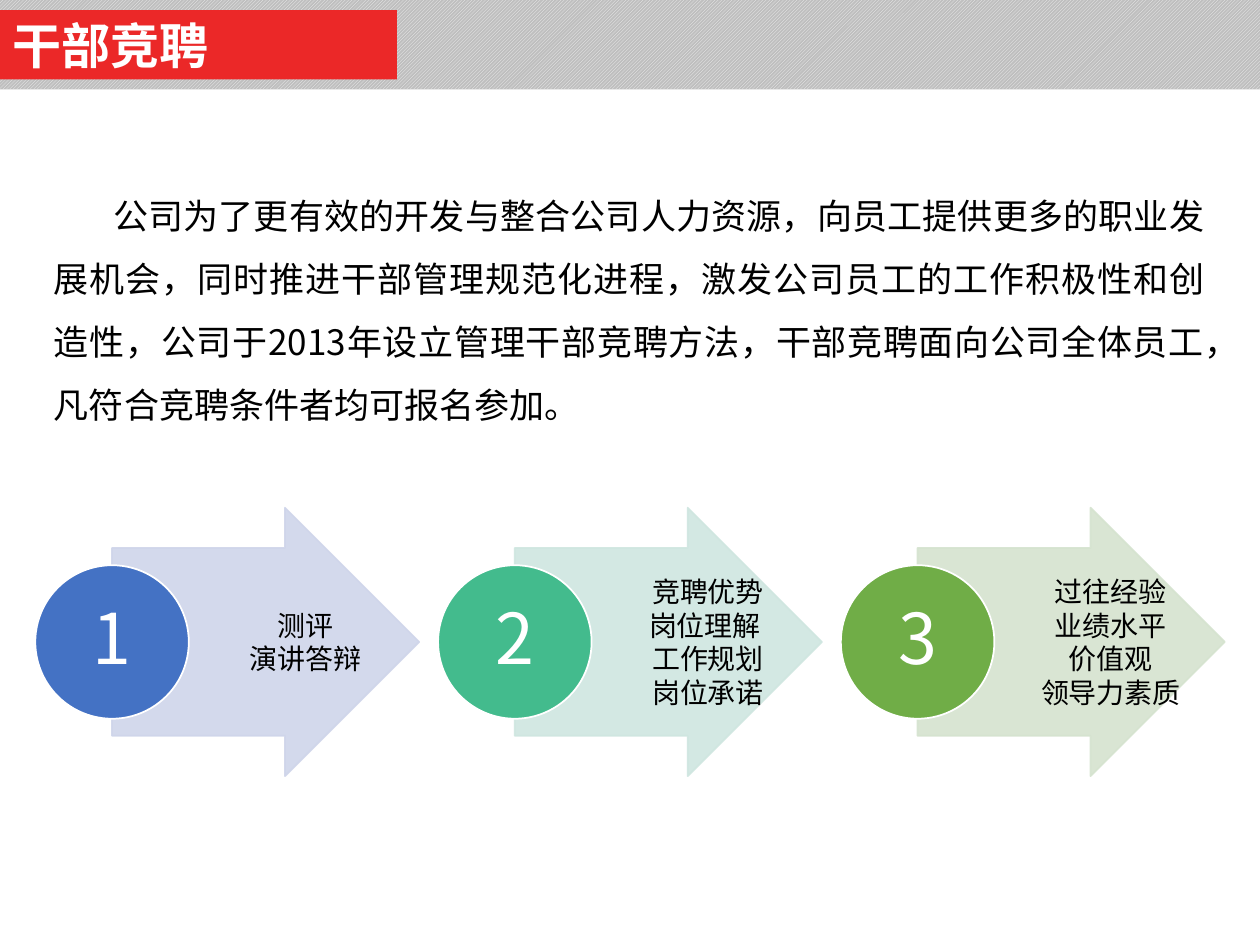
from dataclasses import dataclass

from lxml import etree
from pptx import Presentation
from pptx.dml.color import RGBColor
from pptx.enum.dml import MSO_PATTERN
from pptx.enum.shapes import MSO_SHAPE
from pptx.enum.text import MSO_ANCHOR, PP_ALIGN
from pptx.oxml.ns import qn
from pptx.util import Inches, Pt

RECT, ARROW, OVAL = MSO_SHAPE.RECTANGLE, MSO_SHAPE.RIGHT_ARROW, MSO_SHAPE.OVAL
LEFT, CENTER, JUSTIFY = PP_ALIGN.LEFT, PP_ALIGN.CENTER, PP_ALIGN.JUSTIFY
TOP, MIDDLE = MSO_ANCHOR.TOP, MSO_ANCHOR.MIDDLE
STRIPES = MSO_PATTERN.DARK_UPWARD_DIAGONAL


@dataclass(frozen=True)
class Theme:
    """Colours, font and type sizes of the slide."""
    font: str = "Noto Sans CJK SC"
    ink: str = "000000"
    paper: str = "FFFFFF"
    title_fill: str = "EB2828"
    stripe: str = "F2F2F2"
    band: str = "BFBFBF"
    title: int = 28
    body: int = 20
    label: int = 16
    number: int = 40
    arrow_opacity: int = 90


THEME = Theme()
BODY = ("公司为了更有效的开发与整合公司人力资源，向员工提供更多的职业发展机会，"
        "同时推进干部管理规范化进程，激发公司员工的工作积极性和创造性，"
        "公司于2013年设立管理干部竞聘方法，干部竞聘面向公司全体员工，"
        "凡符合竞聘条件者均可报名参加。")
STEPS = [
    ("4472C4", "CFD5EA", ["测评", "演讲答辩"]),
    ("43BB8D", "CFE6E0", ["竞聘优势", "岗位理解 ", "工作规划", "岗位承诺"]),
    ("70AD47", "D5E3CF", ["过往经验", "业绩水平", "价值观", "领导力素质"]),
]


def rgb(value):
    """Turn a hex string into a colour."""
    return RGBColor.from_string(value)


def add_shape(s, kind, box, fill=None, line=None):
    """Add a flat shape with an optional solid fill and 1 pt line."""
    sp = s.shapes.add_shape(kind, *map(Inches, box))
    sp.shadow.inherit = False
    if fill:
        sp.fill.solid()
        sp.fill.fore_color.rgb = rgb(fill)
    if line:
        sp.line.color.rgb = rgb(line)
        sp.line.width = Pt(1)
    else:
        sp.line.fill.background()
    return sp


def write(sp, lines, size, color, align=CENTER, anchor=MIDDLE, margins=None,
          spacing=None, indent=0, bold=False):
    """Fill a shape with uniformly styled paragraphs."""
    tf = sp.text_frame
    tf.word_wrap = True
    tf.vertical_anchor = anchor
    if margins:
        (tf.margin_left, tf.margin_top,
         tf.margin_right, tf.margin_bottom) = map(Inches, margins)
    for i, line in enumerate(lines):
        p = tf.paragraphs[0] if i == 0 else tf.add_paragraph()
        p.text = line
        p.alignment = align
        if spacing:
            p.line_spacing = spacing
        if indent:
            p._p.get_or_add_pPr().set("indent", str(Inches(indent)))
        font = p.font
        font.name, font.size, font.bold = THEME.font, Pt(size), bold
        font.color.rgb = rgb(color)
        etree.SubElement(font._element, qn("a:ea"), typeface=THEME.font)


def set_opacity(sp, percent):
    """Make the fill and line of a shape partly transparent."""
    for color in sp._element.spPr.iter(qn("a:srgbClr")):
        etree.SubElement(color, qn("a:alpha"), val=str(percent * 1000))


def add_header(s, x, y, w, h):
    """Draw the striped band and the title block on it."""
    band = add_shape(s, RECT, (x, y, w, h))
    band.fill.patterned()
    band.fill.pattern = STRIPES
    band.fill.fore_color.rgb = rgb(THEME.stripe)
    band.fill.back_color.rgb = rgb(THEME.band)
    title = add_shape(s, RECT, (x, y + 0.08, 3.15, h - 0.16), THEME.title_fill)
    write(title, ["干部竞聘"], THEME.title, THEME.paper, LEFT, bold=True)


def add_body(s, x, y, w, h):
    """Place the introductory paragraph."""
    sp = s.shapes.add_textbox(*map(Inches, (x, y, w, h)))
    write(sp, [BODY], THEME.body, THEME.ink, JUSTIFY, TOP, spacing=1.5, indent=0.47)


def add_step(s, x, y, w, h, number, color, tint, lines):
    """Draw one arrow with its label and numbered circle."""
    d = w * 0.4
    arrow = add_shape(s, ARROW, (x + d / 2, y, w - d / 2, h), tint, tint)
    arrow.adjustments[0], arrow.adjustments[1] = 0.7, 0.5
    set_opacity(arrow, THEME.arrow_opacity)
    label = s.shapes.add_textbox(*map(Inches, (x + d, y, w - d, h)))
    write(label, lines, THEME.label, THEME.ink, margins=(0.04, 0.01, 0.02, 0.01))
    circle = add_shape(s, OVAL, (x, y + (h - d) / 2, d, d), color, THEME.paper)
    write(circle, [str(number)], THEME.number, THEME.paper,
          margins=(0.03,) * 4, spacing=0.9)


def add_steps(s, x, y, w, h, gap=0.15):
    """Spread the steps evenly across the row."""
    step_w = (w - gap * (len(STEPS) - 1)) / len(STEPS)
    for i, step in enumerate(STEPS):
        add_step(s, x + i * (step_w + gap), y, step_w, h, i + 1, *step)


def main():
    """Build and save the slide."""
    prs = Presentation()
    prs.slide_width, prs.slide_height = Inches(10), Inches(7.5)
    s = prs.slides.add_slide(prs.slide_layouts[6])
    add_body(s, 0.33, 1.33, 9.33, 2.12)
    add_header(s, 0, 0, 10, 0.71)
    add_steps(s, 0.28, 4.03, 9.44, 2.13)
    prs.save("out.pptx")


if __name__ == "__main__":
    main()
